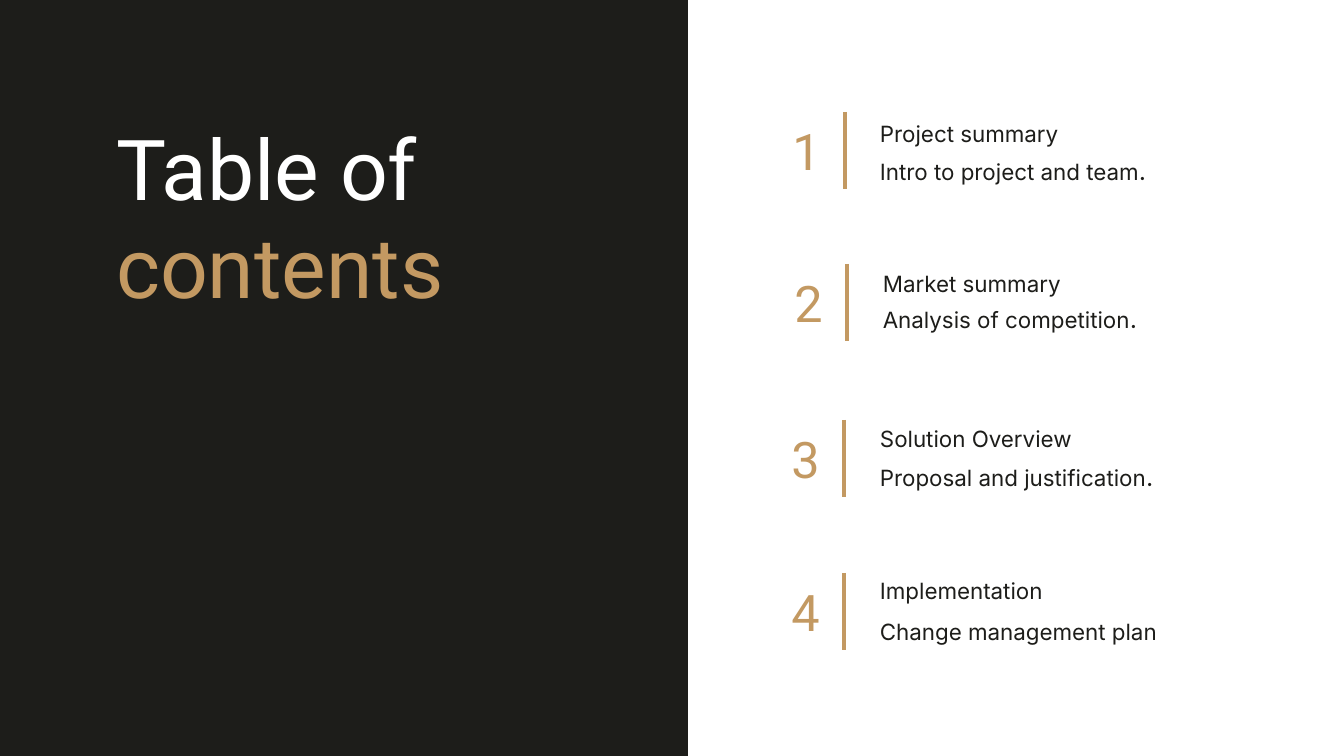
from pptx import Presentation, util as u
from pptx.dml.color import RGBColor
from pptx.enum import shapes, text
from pptx.oxml.ns import qn
from lxml import etree

SCALE = 914400 / 100.8  # EMU per pixel
INK, GOLD, WHITE = "1D1D1A", "C39962", "FFFFFF"


def px(*lengths):
    return [u.Emu(round(n * SCALE)) for n in lengths]


def rgb(value):
    return RGBColor.from_string(value)


class Deck:
    DISPLAY = dict(name="Roboto", size=u.Pt(60))
    NUMBER = dict(name="Roboto", size=u.Pt(36))
    BODY = dict(name="Inter", size=u.Pt(16))
    STOP = dict(name="Inter", size=u.Pt(18))

    def __init__(self, width, height):
        self.prs = Presentation()
        self.prs.slide_width, self.prs.slide_height = px(width, height)
        self.s = self.prs.slides.add_slide(self.prs.slide_layouts[5])

    def run(self, p, content, style, color):
        r = p.add_run()
        r.text = content
        for key, value in style.items():
            setattr(r.font, key, value)
        r.font.color.rgb = rgb(color)

    def frame(self, sp, auto_size):
        tf = sp.text_frame
        settings = dict(word_wrap=True, auto_size=auto_size,
                        vertical_anchor=text.MSO_ANCHOR.TOP)
        for key, value in settings.items():
            setattr(tf, key, value)
        return tf

    def title(self, box, lines):
        sp = self.s.shapes.title
        sp.left, sp.top, sp.width, sp.height = px(*box)
        tf = self.frame(sp, text.MSO_AUTO_SIZE.NONE)
        for i, (content, color) in enumerate(lines):
            p = tf.add_paragraph() if i else tf.paragraphs[0]
            p.alignment, p.line_spacing = text.PP_ALIGN.LEFT, 0.98
            self.run(p, content, self.DISPLAY, color)

    def panel(self, box, color):
        sp = self.s.shapes.add_shape(shapes.MSO_SHAPE.RECTANGLE, *px(*box))
        sp.shadow.inherit = False
        sp.fill.solid()
        sp.fill.fore_color.rgb = rgb(color)
        sp.line.fill.background()
        self.s.shapes.title.element.addprevious(sp.element)  # behind the title

    def label(self, box, runs, color, align=text.PP_ALIGN.LEFT):
        sp = self.s.shapes.add_textbox(*px(*box))
        p = self.frame(sp, text.MSO_AUTO_SIZE.SHAPE_TO_FIT_TEXT).paragraphs[0]
        p.alignment = align
        for content, style in runs:
            self.run(p, content, style, color)

    def rule(self, x, top, height, color):
        line = self.s.shapes.add_connector(
            shapes.MSO_CONNECTOR.STRAIGHT, *px(x, top, x, top + height))
        line.line.color.rgb = rgb(color)
        line.line.width = u.Pt(2.25)
        etree.SubElement(line.element.spPr, qn("a:effectLst"))


deck = Deck(1344, 756)

# Dark half with the title
deck.panel((0, 0, 688, 756), INK)
deck.title((106, 116, 550, 209), [("Table of", WHITE), ("contents", GOLD)])

# Contents: rule x and top, text left, heading and detail tops, wording, full stop
entries = [
    (845, 112, 870, 115, 150, "Project summary", "Intro to project and team", "."),
    (847, 264, 873, 265, 298, "Market summary", "Analysis of competition", "."),
    (844, 420, 870, 420, 456, "Solution Overview", "Proposal and justification", "."),
    (844, 573, 870, 572, 613, "Implementation", "Change management plan", ""),
]
for number, entry in enumerate(entries, 1):
    rule_x, rule_top, left, heading_top, detail_top, heading, detail, stop = entry
    deck.label((rule_x - 87, rule_top + 3, 97, 71), [(str(number), deck.NUMBER)],
               GOLD, text.PP_ALIGN.CENTER)
    deck.rule(rule_x, rule_top, 77, GOLD)
    deck.label((left, heading_top, 443, 37), [(heading, deck.BODY)], INK)
    detail_runs = [(detail, deck.BODY)] + ([(stop, deck.STOP)] if stop else [])
    deck.label((left, detail_top, 334, 40 if stop else 37), detail_runs, INK)

deck.prs.save("out.pptx")
